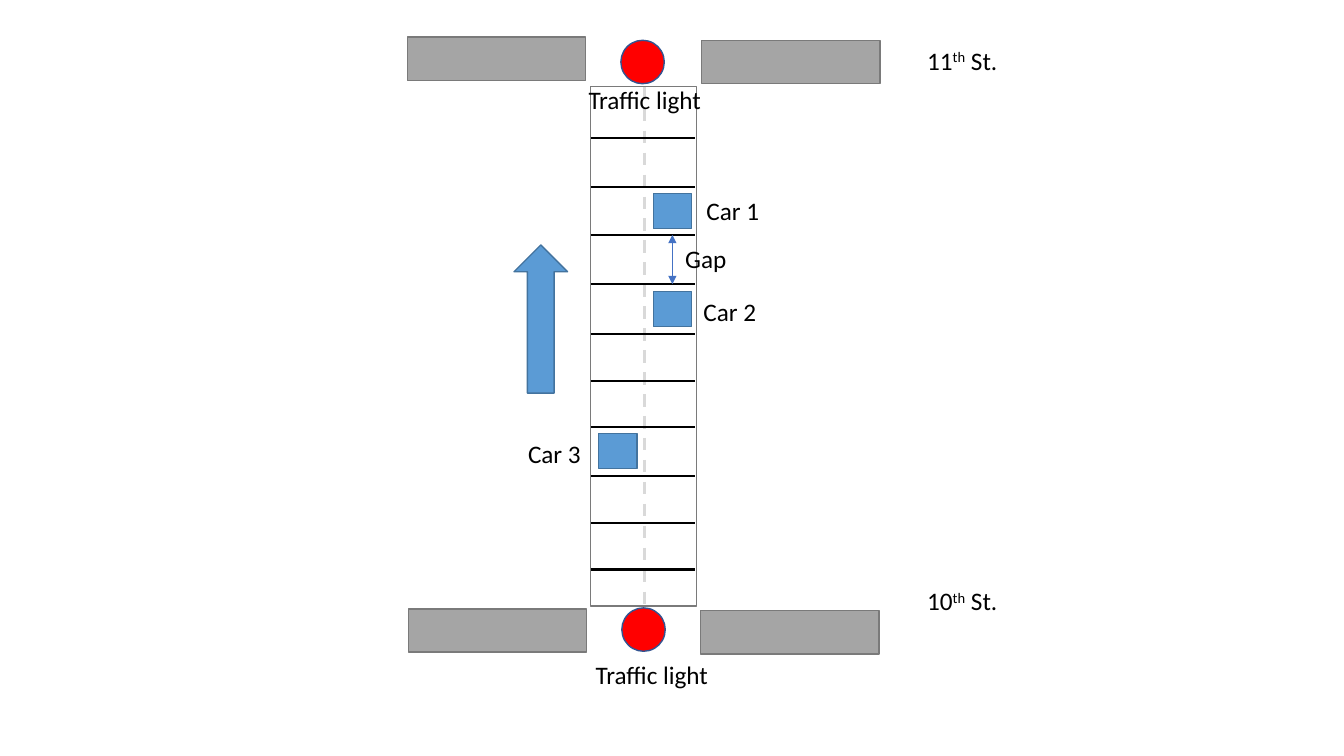
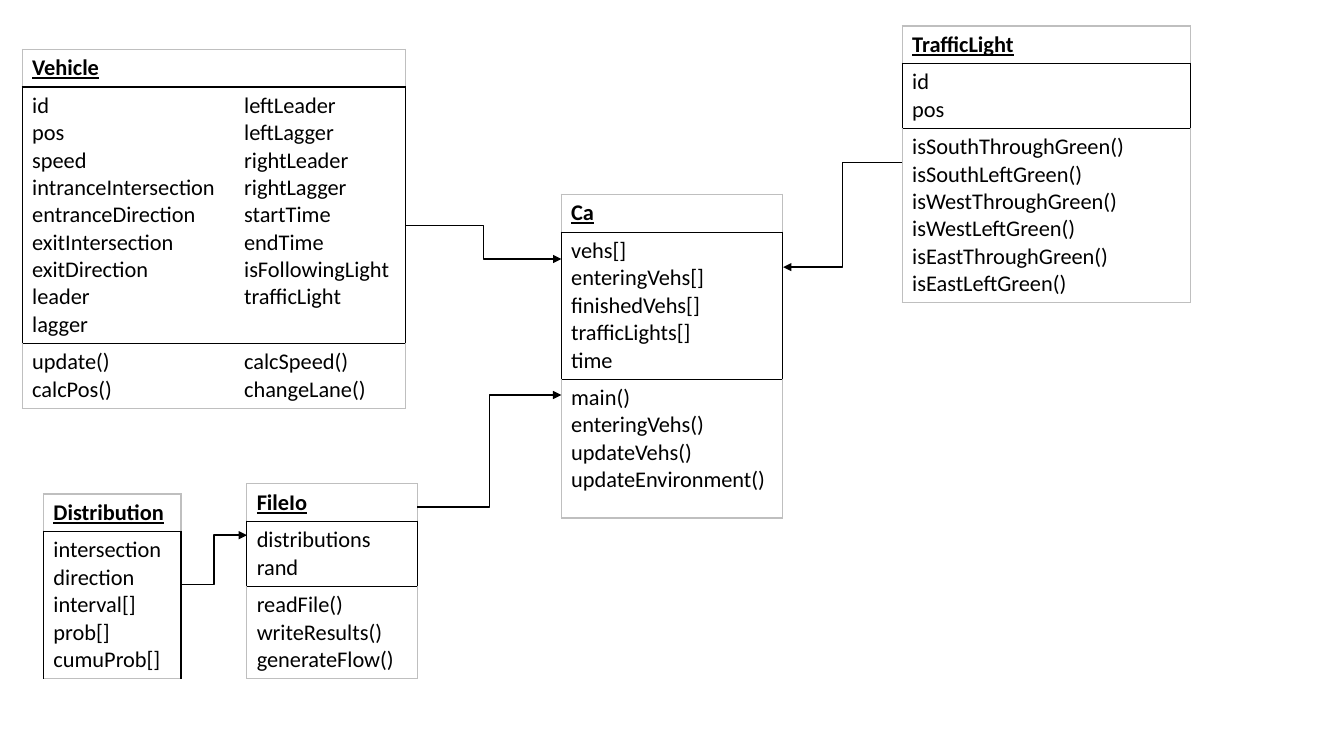
"""Build two slides: a road cell model and its class diagram."""
from dataclasses import dataclass

from lxml.etree import SubElement
from pptx import Presentation
from pptx.dml.color import RGBColor
from pptx.enum.dml import MSO_LINE
from pptx.enum.shapes import MSO_CONNECTOR as Link, MSO_SHAPE as Preset
from pptx.oxml.ns import qn
from pptx.util import Pt


@dataclass(frozen=True)
class Theme:
    font: str = "Calibri"
    label_size: float = 18
    class_size: float = 16
    ink: str = "000000"
    frame: str = "BFBFBF"
    street: str = "A5A5A5"
    street_edge: str = "7A7A7A"
    light: str = "FF0000"
    light_edge: str = "325491"
    car: str = "5B9BD5"
    car_edge: str = "43739E"
    lane: str = "D9D9D9"
    gap: str = "4472C4"


THEME = Theme()

ROAD = (422, 62, 75.6, 370.8)
STREET_SIZE = (127.4, 31)
STREETS = [(501.1, 28.8), (290.9, 26.6), (500.4, 436.3), (291.6, 434.9)]
LIGHT_SIZE = (31, 31)
LIGHTS = [(444.2, 434.2), (443.5, 28.8)]
CELL_EDGES = [98.6, 133.9, 167.8, 203, 238.3, 272.2, 305.3, 339.8, 373.7, 406.8]
CAR_SIZE = (27.4, 25.2)
CARS = [(466.6, 138.2), (466.6, 208.1), (427.7, 309.6)]
HEADING = (367.2, 175, 38.2, 105.8)
LABELS = [
    (655.2, 28.8, 172, ["11", "th", " St."]),
    (655.2, 414.7, 172, ["10", "th", " St."]),
    (482.4, 170.6, 67.7, ["Gap"]),
    (497.5, 136.1, 67.7, ["Car 1"]),
    (495.4, 208.1, 67.7, ["Car 2"]),
    (370.1, 309.6, 67.7, ["Car 3"]),
    (418.3, 467.3, 106.6, ["Traffic light"]),
    (413.3, 56.9, 106.6, ["Traffic light"]),
]

CLASSES = [
    dict(name="Vehicle", at=(15.8, 35.3), columns=[151.4, 122.4],
         heights=[26.8, 183.2, 46.2],
         sections=[
             [["id", "pos", "speed", "intranceIntersection", "entranceDirection",
               "exitIntersection", "exitDirection", "leader", "lagger"],
              ["leftLeader", "leftLagger", "rightLeader", "rightLagger",
               "startTime", "endTime", "isFollowingLight", "trafficLight"]],
             [["update()", "calcPos()"], ["calcSpeed()", "changeLane()"]]]),
    dict(name="TrafficLight", at=(644.4, 18.6), columns=[110.9, 95],
         heights=[26.8, 46.2, 124.4],
         sections=[
             [["id", "pos"], []],
             [["isSouthThroughGreen()", "isSouthLeftGreen()",
               "isWestThroughGreen()", "isWestLeftGreen()",
               "isEastThroughGreen()", "isEastLeftGreen()"]]]),
    dict(name="FileIo", at=(176.2, 345.6), columns=[121.9],
         heights=[26.8, 46.2, 65.8],
         sections=[[["distributions", "rand"]],
                   [["readFile()", "writeResults()", "generateFlow()"]]]),
    dict(name="Distribution", at=(31, 352.9), columns=[98.3],
         heights=[26.8, 104.9],
         sections=[[["intersection", "direction", "interval[]", "prob[]",
                     "cumuProb[]"]]]),
    dict(name="Ca", at=(400.8, 138.8), columns=[158.2],
         heights=[27, 104.9, 99.2],
         sections=[[["vehs[]", "enteringVehs[]", "finishedVehs[]",
                     "trafficLights[]", "time"]],
                   [["main()", "enteringVehs()", "updateVehs()",
                     "updateEnvironment()"]]]),
]
USES = [
    ((644.4, 115.9), (559.4, 190.8)),
    ((298.1, 362.2), (401, 282.2)),
    ((129.6, 417.6), (176.4, 382.3)),
    ((289.4, 161.3), (401, 185)),
]


def rgb(value):
    """Turn a hex string into a colour."""
    return RGBColor.from_string(value)


def points(*lengths):
    """Turn plain numbers into point lengths."""
    return [Pt(length) for length in lengths]


def add_block(slide, preset, box, fill, edge):
    """Add one flat shape; no fill when fill is None."""
    block = slide.shapes.add_shape(preset, *points(*box))
    block.shadow.inherit = False
    if fill:
        block.fill.solid()
        block.fill.fore_color.rgb = rgb(fill)
    else:
        block.fill.background()
    block.line.color.rgb = rgb(edge)
    block.line.width = Pt(1)


def add_line(slide, start, end, color, width, kind=Link.STRAIGHT, dash=None, arrows=()):
    """Add a line with optional dash and arrowheads."""
    link = slide.shapes.add_connector(kind, *points(*start, *end))
    link.line.color.rgb = rgb(color)
    link.line.width = Pt(width)
    if dash:
        link.line.dash_style = dash
    properties = link._element.spPr
    for arrow in arrows:
        SubElement(properties.find(qn("a:ln")), qn(arrow), type="triangle")
    SubElement(properties, qn("a:effectLst"))


def add_run(paragraph, text, size, heading=False):
    """Add one run in the theme font."""
    run = paragraph.add_run()
    run.text = text
    font = run.font
    font.name, font.size = THEME.font, Pt(size)
    font.bold = font.underline = heading
    font.color.rgb = rgb(THEME.ink)
    return run


def add_label(slide, left, top, width, parts):
    """Add a label whose second part is superscript."""
    frame = slide.shapes.add_textbox(*points(left, top, width, 29)).text_frame
    frame.word_wrap = True
    for index, part in enumerate(parts):
        run = add_run(frame.paragraphs[0], part, THEME.label_size)
        if index == 1:
            run._r.get_or_add_rPr().set("baseline", "30000")


def set_borders(cell, colors):
    """Set left, right, top and bottom borders; None hides one."""
    properties = cell._tc.get_or_add_tcPr()
    for index, (side, color) in enumerate(zip("LRTB", colors)):
        border = SubElement(properties, qn(f"a:ln{side}"), w=str(Pt(1)))
        if color:
            fill = SubElement(border, qn("a:solidFill"))
            SubElement(fill, qn("a:srgbClr"), val=color)
        else:
            SubElement(border, qn("a:noFill"))
        properties.insert(index, border)


def add_class(slide, name, at, columns, heights, sections):
    """Add one class box as a table."""
    rows = [[[name]]] + sections
    table = slide.shapes.add_table(
        len(rows), len(columns), *points(*at, sum(columns), sum(heights))).table
    table.first_row = table.horz_banding = False
    for column, width in zip(table.columns, columns):
        column.width = Pt(width)
    last_column = len(columns) - 1
    for index, (members, height) in enumerate(zip(rows, heights)):
        table.rows[index].height = Pt(height)
        merged = len(members) < len(columns)
        if merged:
            table.cell(index, 0).merge(table.cell(index, last_column))
        side = THEME.ink if index == 1 else THEME.frame
        top = THEME.ink if index else THEME.frame
        bottom = THEME.ink if index < len(rows) - 1 else THEME.frame
        for position in range(len(columns)):
            cell = table.cell(index, position)
            cell.fill.background()
            set_borders(cell, (None if position else side,
                               side if merged or position == last_column else None,
                               top, bottom))
        for position, lines in enumerate(members):
            frame = table.cell(index, position).text_frame
            for number, line in enumerate(lines):
                paragraph = frame.add_paragraph() if number else frame.paragraphs[0]
                add_run(paragraph, line, THEME.class_size, heading=index == 0)


def build_road(slide):
    """Draw the road between two streets."""
    left, top, width, height = ROAD
    middle, right = 460.1, left + width - 1
    add_block(slide, Preset.RECTANGLE, ROAD, None, THEME.street_edge)
    for corner in STREETS:
        add_block(slide, Preset.RECTANGLE, corner + STREET_SIZE,
                  THEME.street, THEME.street_edge)
    for corner in LIGHTS:
        add_block(slide, Preset.OVAL, corner + LIGHT_SIZE,
                  THEME.light, THEME.light_edge)
    add_line(slide, (middle, top), (middle, top + height), THEME.lane, 2.25,
             dash=MSO_LINE.DASH)
    for edge in CELL_EDGES:
        add_line(slide, (left, edge), (right, edge), THEME.ink, 1.5)
    for corner in CARS:
        add_block(slide, Preset.RECTANGLE, corner + CAR_SIZE,
                  THEME.car, THEME.car_edge)
    gap_x = CARS[0][0] + CAR_SIZE[0] / 2
    add_line(slide, (gap_x, CELL_EDGES[2]), (gap_x, CELL_EDGES[3]), THEME.gap, 0.5,
             arrows=("a:headEnd", "a:tailEnd"))
    for label in LABELS:
        add_label(slide, *label)
    add_block(slide, Preset.UP_ARROW, HEADING, THEME.car, THEME.car_edge)


def build_classes(slide):
    """Draw the classes and the links between them."""
    for box in CLASSES:
        add_class(slide, **box)
    for start, end in USES:
        add_line(slide, start, end, THEME.ink, 1, Link.ELBOW, arrows=("a:tailEnd",))


def main():
    """Build and save the presentation."""
    deck = Presentation()
    deck.slide_width, deck.slide_height = points(960, 540)
    blank = deck.slide_layouts[6]
    for build in (build_road, build_classes):
        build(deck.slides.add_slide(blank))
    deck.save("out.pptx")


if __name__ == "__main__":
    main()
